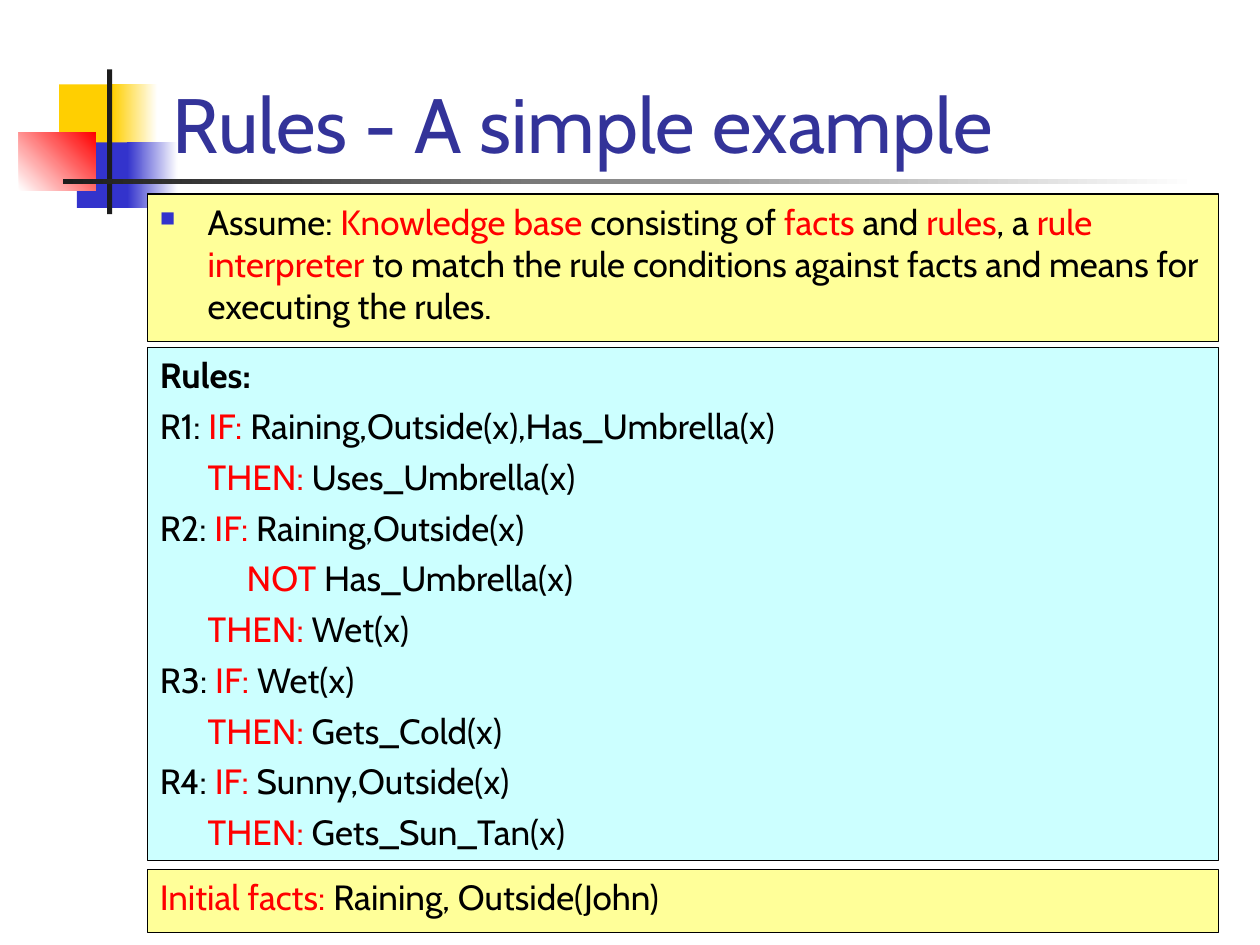
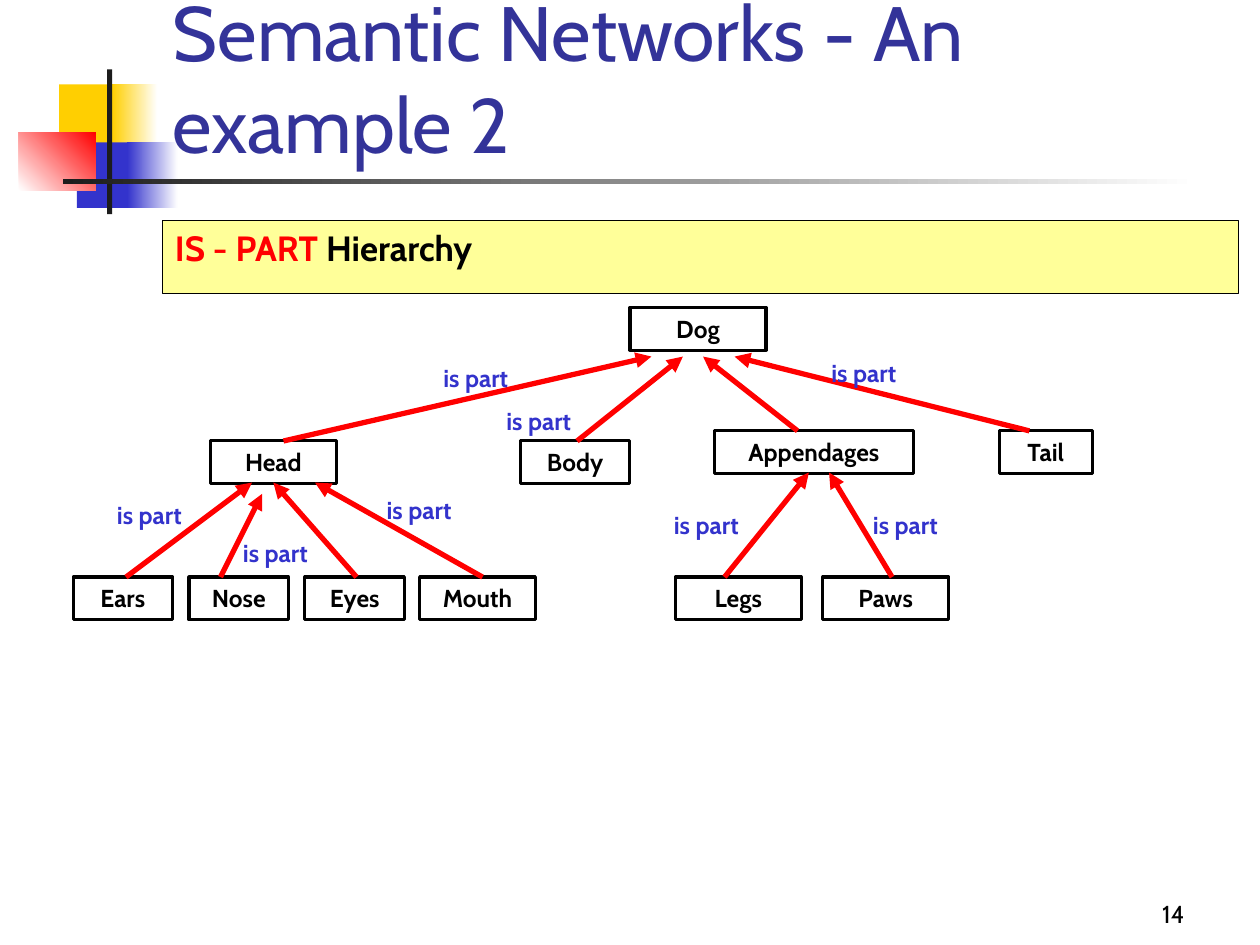
"""Build two slides on rule-based knowledge and a part-of semantic network."""
import dataclasses
import typing

import pptx
import pptx.dml.color
import pptx.enum.shapes
import pptx.enum.text
import pptx.oxml
import pptx.oxml.ns
import pptx.presentation
import pptx.shapes.base
import pptx.slide
import pptx.text.text
import pptx.util

Inches = pptx.util.Inches
Pt = pptx.util.Pt
Align = pptx.enum.text.PP_ALIGN
Anchor = pptx.enum.text.MSO_ANCHOR
RECTANGLE = pptx.enum.shapes.MSO_SHAPE.RECTANGLE
Place = tuple[float, float, float, float]
Point = tuple[float, float]

COLOURS = {
    "white": "FFFFFF",
    "black": "000000",
    "red": "FF0000",
    "gold": "FFCF01",
    "blue": "3333CC",
    "navy": "333399",
    "charcoal": "1C1C1C",
    "cream": "FFFF99",
    "aqua": "CCFFFF",
}
TITLE_FORMAT = {"name": "Cabin", "size": Pt(44), "bold": False}
BODY_FORMAT = {"name": "Cabin", "size": Pt(20), "bold": False}
HEADING_FORMAT = BODY_FORMAT | {"bold": True}
NUMBER_FORMAT = {"name": "Cabin", "size": Pt(14), "bold": False}
NODE_FORMAT = NUMBER_FORMAT | {"bold": True}
HANGING = 0.38
NODE_HEIGHT = 0.34
NAMESPACE = pptx.oxml.ns.nsdecls("a")


class Band(typing.NamedTuple):
    """A decorative rectangle, plain or fading from one colour to another."""

    place: Place
    colour: str
    fade_to: str | None = None
    angle: float = 0


class Line(typing.NamedTuple):
    """One paragraph; every second piece between bars takes the accent colour."""

    text: str
    format: dict[str, typing.Any] = BODY_FORMAT
    left: float = HANGING
    first: float = -HANGING
    bullet: bool = False


@dataclasses.dataclass
class Panel:
    """A block of text, with an optional fill and outline."""

    place: Place
    lines: list[Line]
    fill: str | None = None
    outline: float | None = None
    colour: str = "black"
    space_before: float = 5
    align: Align = Align.LEFT
    anchor: Anchor = Anchor.TOP


class Node(typing.NamedTuple):
    """A named box of the network."""

    name: str
    left: float
    top: float
    width: float


class Arrow(typing.NamedTuple):
    """A link from a part to its whole."""

    start: Point
    end: Point


BANDS = [
    Band((0.47, 0.67, 0.48, 0.52), "gold"),
    Band((0.89, 0.67, 0.36, 0.52), "gold", "white"),
    Band((0.61, 1.13, 0.46, 0.52), "blue"),
    Band((1.01, 1.13, 0.4, 0.52), "blue", "white"),
    Band((0.15, 1.05, 0.61, 0.46), "white", "red", 45),
    Band((0.85, 0.55, 0.04, 1.15), "charcoal"),
    Band((0.5, 1.42, 9, 0.04), "charcoal", "white"),
]


def then(text: str) -> Line:
    """Return the indented conclusion of a rule."""
    return Line(f"|THEN:| {text}", first=0)


RULE_PANELS = [
    Panel(
        (1.17, 1.54, 8.5, 1.17),
        [Line(
            "Assume: |Knowledge base| consisting of |facts| and |rules|, a |rule interpreter|"
            " to match the rule conditions against facts and means for executing the rules.",
            bullet=True,
        )],
        "cream",
        0.75,
    ),
    Panel(
        (1.17, 2.76, 8.5, 4.07),
        [
            Line("Rules:", HEADING_FORMAT),
            Line("R1:| IF:| Raining,Outside(x),Has_Umbrella(x)"),
            then("Uses_Umbrella(x)"),
            Line("R2:| IF:| Raining,Outside(x)"),
            Line("|NOT| Has_Umbrella(x)", left=0.69, first=0),
            then("Wet(x)"),
            Line("R3:| IF:| Wet(x)"),
            then("Gets_Cold(x)"),
            Line("R4:| IF:| Sunny,Outside(x)"),
            then("Gets_Sun_Tan(x)"),
        ],
        "aqua",
        0.75,
    ),
    Panel(
        (1.17, 6.9, 8.5, 0.5),
        [Line("|Initial facts: |Raining, Outside(John)")],
        "cream",
        0.75,
    ),
]

NETWORK_PANELS = [
    Panel(
        (7.42, 6.92, 2.08, 0.5),
        [Line("14", NUMBER_FORMAT, 0, 0)],
        space_before=0,
        align=Align.RIGHT,
        anchor=Anchor.BOTTOM,
    ),
    Panel(
        (1.29, 1.75, 8.54, 0.58),
        [Line("|IS - PART| Hierarchy", HEADING_FORMAT)],
        "cream",
        0.75,
    ),
]
PART_TOP = 4.58
NODES = [
    Node("Dog", 5, 2.44, 1.08),
    Node("Head", 1.67, 3.5, 1),
    Node("Body", 4.13, 3.5, 0.87),
    Node("Appendages", 5.67, 3.42, 1.58),
    Node("Tail", 7.93, 3.42, 0.74),
    Node("Ears", 0.58, PART_TOP, 0.79),
    Node("Nose", 1.5, PART_TOP, 0.79),
    Node("Eyes", 2.42, PART_TOP, 0.79),
    Node("Mouth", 3.33, PART_TOP, 0.92),
    Node("Legs", 5.36, PART_TOP, 1),
    Node("Paws", 6.53, PART_TOP, 1),
]
ARROWS = [
    Arrow((2.25, 3.5), (5.17, 2.83)),
    Arrow((4.58, 3.5), (5.42, 2.83)),
    Arrow((6.33, 3.42), (5.58, 2.83)),
    Arrow((8.17, 3.42), (5.83, 2.83)),
    Arrow((1, PART_TOP), (2, 3.83)),
    Arrow((1.75, PART_TOP), (2.08, 3.92)),
    Arrow((2.83, PART_TOP), (2.17, 3.83)),
    Arrow((3.83, PART_TOP), (2.5, 3.83)),
    Arrow((5.75, PART_TOP), (6.42, 3.75)),
    Arrow((7.08, PART_TOP), (6.58, 3.75)),
]
LABEL_POINTS = [
    (3.42, 2.83), (6.5, 2.79), (3.92, 3.17), (0.83, 3.92),
    (1.83, 4.22), (2.97, 3.88), (5.25, 4), (6.83, 4),
]


def colour_of(name: str) -> pptx.dml.color.RGBColor:
    """Look up a named colour."""
    return pptx.dml.color.RGBColor.from_string(COLOURS[name])


def add_run(
    paragraph: pptx.text.text._Paragraph, text: str, format: dict[str, typing.Any], colour: str
) -> None:
    """Add a formatted run to a paragraph."""
    run = paragraph.add_run()
    run.text = text
    for attribute, value in format.items():
        setattr(run.font, attribute, value)
    run.font.color.rgb = colour_of(colour)


def draw_band(slide: pptx.slide.Slide, band: Band) -> None:
    """Draw one rectangle of the shared decoration."""
    shape = slide.shapes.add_shape(RECTANGLE, *map(Inches, band.place))
    shape.shadow.inherit = False
    shape.line.fill.background()
    if band.fade_to is None:
        shape.fill.solid()
        shape.fill.fore_color.rgb = colour_of(band.colour)
        return
    shape.fill.gradient()
    shape.fill.gradient_angle = band.angle
    for stop, colour in zip(shape.fill.gradient_stops, (band.colour, band.fade_to)):
        stop.color.rgb = colour_of(colour)


def write_line(paragraph: pptx.text.text._Paragraph, line: Line, panel: Panel) -> None:
    """Write a line with its indent, bullet and coloured runs."""
    paragraph.alignment = panel.align
    paragraph.space_before = Pt(panel.space_before)
    properties = paragraph._p.get_or_add_pPr()
    properties.set("marL", str(Inches(line.left)))
    properties.set("indent", str(Inches(line.first)))
    if line.bullet:
        for markup in (
            f'<a:buClr {NAMESPACE}><a:srgbClr val="{COLOURS["blue"]}"/></a:buClr>',
            f'<a:buSzPct {NAMESPACE} val="60000"/>',
            f'<a:buChar {NAMESPACE} char="■"/>',
        ):
            properties.append(pptx.oxml.parse_xml(markup))
    for index, piece in enumerate(line.text.split("|")):
        if piece:
            add_run(paragraph, piece, line.format, "red" if index % 2 else panel.colour)


def draw_panel(slide: pptx.slide.Slide, panel: Panel) -> None:
    """Draw a text panel."""
    place = map(Inches, panel.place)
    if panel.outline is None:
        shape = slide.shapes.add_textbox(*place)
    else:
        shape = slide.shapes.add_shape(RECTANGLE, *place)
        shape.shadow.inherit = False
        shape.line.color.rgb = colour_of("black")
        shape.line.width = Pt(panel.outline)
    if panel.fill:
        shape.fill.solid()
        shape.fill.fore_color.rgb = colour_of(panel.fill)
    else:
        shape.fill.background()
    frame = shape.text_frame
    frame.word_wrap = True
    frame.vertical_anchor = panel.anchor
    for index, line in enumerate(panel.lines):
        write_line(frame.add_paragraph() if index else frame.paragraphs[0], line, panel)


def draw_node(slide: pptx.slide.Slide, node: Node) -> None:
    """Draw a box of the network."""
    place = (node.left, node.top, node.width, NODE_HEIGHT)
    lines = [Line(node.name, NODE_FORMAT, 0, 0)]
    draw_panel(slide, Panel(place, lines, outline=1.75, space_before=8.8, align=Align.CENTER))


def draw_label(slide: pptx.slide.Slide, point: Point) -> None:
    """Draw the name of a link."""
    lines = [Line("is part", NODE_FORMAT, 0, 0)]
    draw_panel(slide, Panel((*point, 0.83, NODE_HEIGHT), lines, colour="blue", space_before=8.8))


def draw_arrow(slide: pptx.slide.Slide, arrow: Arrow) -> None:
    """Draw a link with its arrowhead at the whole."""
    connector = slide.shapes.add_connector(
        pptx.enum.shapes.MSO_CONNECTOR.STRAIGHT, *map(Inches, arrow.start + arrow.end)
    )
    connector.line.color.rgb = colour_of("red")
    connector.line.width = Pt(3)
    head = pptx.oxml.parse_xml(f'<a:tailEnd {NAMESPACE} type="triangle"/>')
    connector.line._get_or_add_ln().append(head)
    connector.element.spPr.append(pptx.oxml.parse_xml(f"<a:effectLst {NAMESPACE}/>"))


def add_slide(presentation: pptx.presentation.Presentation, text: str) -> pptx.slide.Slide:
    """Add a slide with the shared decoration and title style."""
    slide = presentation.slides.add_slide(presentation.slide_layouts[5])
    for band in BANDS:
        draw_band(slide, band)
    title = slide.shapes.title
    title.element.getparent().append(title.element)
    title.left, title.top, title.width, title.height = map(Inches, (1.27, 0.14, 8.52, 1.25))
    frame = title.text_frame
    frame.word_wrap = True
    frame.auto_size = pptx.enum.text.MSO_AUTO_SIZE.NONE
    frame.vertical_anchor = Anchor.BOTTOM
    frame.paragraphs[0].alignment = Align.LEFT
    add_run(frame.paragraphs[0], text, TITLE_FORMAT, "navy")
    return slide


def main() -> None:
    """Build and save the presentation."""
    presentation = pptx.Presentation()
    presentation.slide_width, presentation.slide_height = Inches(10), Inches(7.5)
    rules = add_slide(presentation, "Rules - A simple example")
    for panel in RULE_PANELS:
        draw_panel(rules, panel)
    network = add_slide(presentation, "Semantic Networks - An example 2")
    for draw, items in (
        (draw_panel, NETWORK_PANELS),
        (draw_node, NODES),
        (draw_arrow, ARROWS),
        (draw_label, LABEL_POINTS),
    ):
        for item in items:
            draw(network, item)
    presentation.save("out.pptx")


if __name__ == "__main__":
    main()
